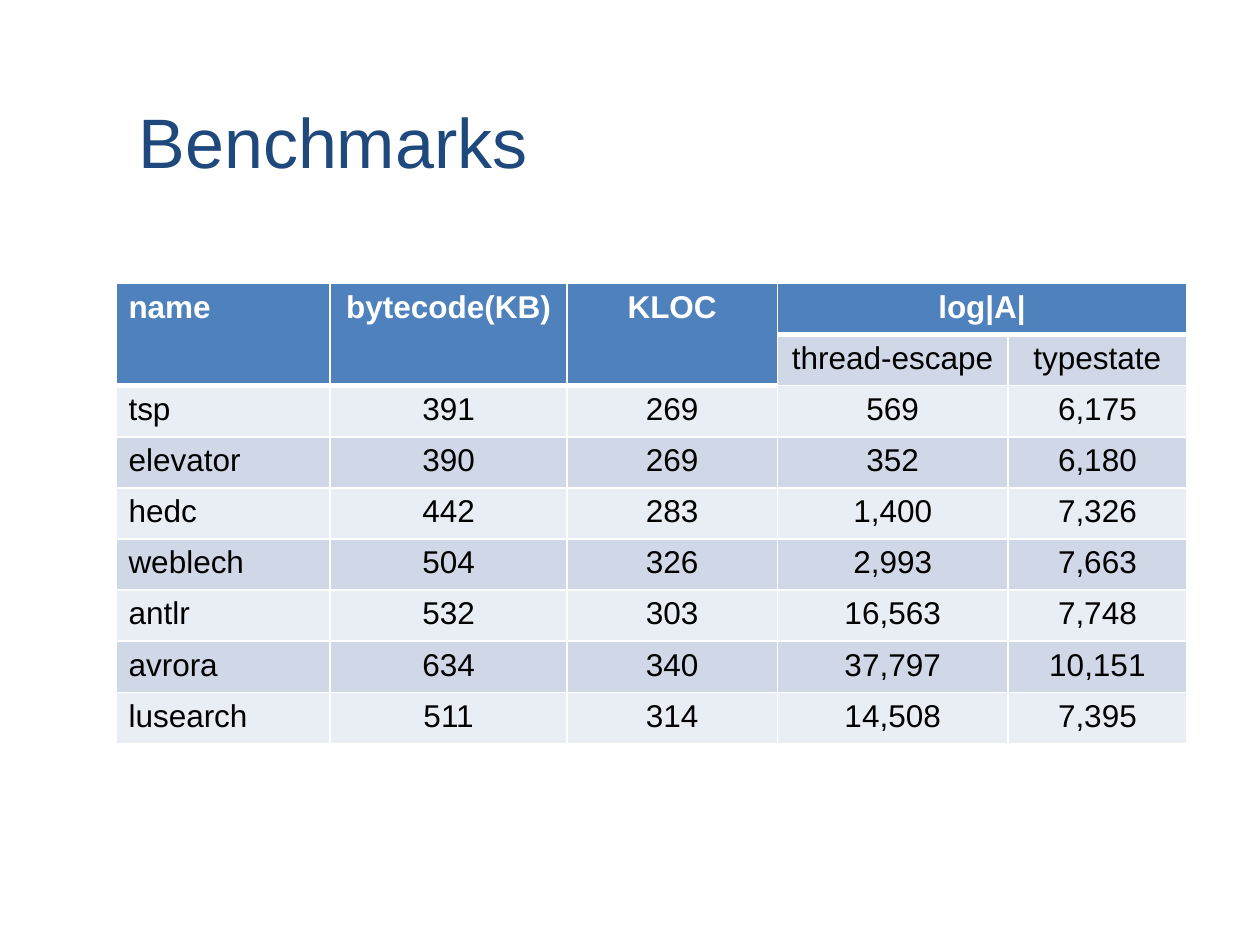
from pptx import Presentation
from pptx.dml.color import RGBColor
from pptx.enum import text
from pptx.oxml import parse_xml
from pptx.oxml.ns import nsdecls
from pptx.util import Inches, Pt

FONT = "Arial"
NAVY = RGBColor(0x1F, 0x49, 0x7D)
BLUE = RGBColor(0x4F, 0x81, 0xBD)
DARK_BAND = RGBColor(0xD0, 0xD8, 0xE8)
LIGHT_BAND = RGBColor(0xE9, 0xED, 0xF4)
WHITE = RGBColor(0xFF, 0xFF, 0xFF)
BLACK = RGBColor(0, 0, 0)

COLUMN_WIDTHS = [1.7, 1.88, 1.67, 1.83, 1.42]
ROWS = [
    ["name", "bytecode(KB)", "KLOC", "log|A|", ""],
    ["", "", "", "thread-escape", "typestate"],
    ["tsp", "391", "269", "569", "6,175"],
    ["elevator", "390", "269", "352", "6,180"],
    ["hedc", "442", "283", "1,400", "7,326"],
    ["weblech", "504", "326", "2,993", "7,663"],
    ["antlr", "532", "303", "16,563", "7,748"],
    ["avrora", "634", "340", "37,797", "10,151"],
    ["lusearch", "511", "314", "14,508", "7,395"],
]
MERGES = [(0, 0, 1, 0), (0, 1, 1, 1), (0, 2, 1, 2), (0, 3, 0, 4)]


def add_span(para, words, size, color, bold=False):
    span = para.add_run()
    span.text = words
    span.font.name = FONT
    span.font.size = Pt(size)
    span.font.bold = bold
    span.font.color.rgb = color


def add_border(cell, side, points):
    cell._tc.get_or_add_tcPr().append(parse_xml(
        f'<a:ln{side} {nsdecls("a")} w="{Pt(points)}"><a:solidFill>'
        f'<a:srgbClr val="{WHITE}"/></a:solidFill></a:ln{side}>'))


def place_title(page, words, left, top, width, height):
    title = page.shapes.title
    title.left, title.top, title.width, title.height = left, top, width, height
    frame = title.text_frame
    frame.auto_size = text.MSO_AUTO_SIZE.NONE
    frame.vertical_anchor = text.MSO_ANCHOR.BOTTOM
    frame.margin_bottom = Inches(0.1)
    para = frame.paragraphs[0]
    para.alignment = text.PP_ALIGN.LEFT
    add_span(para, words, 40, NAVY)


def format_cell(cell, words, row, column):
    header = row == 0 or (row == 1 and column < 3)
    add_border(cell, "L", 1)
    add_border(cell, "R", 1)
    if row == 0:
        add_border(cell, "T", 1)
    add_border(cell, "B", 3 if header else 1)
    cell.fill.solid()
    band = DARK_BAND if row % 2 else LIGHT_BAND
    cell.fill.fore_color.rgb = BLUE if header else band
    para = cell.text_frame.paragraphs[0]
    para.alignment = text.PP_ALIGN.CENTER if column else text.PP_ALIGN.LEFT
    if words:
        add_span(para, words, 18, WHITE if header else BLACK, header)


def place_benchmarks(page, left, top, width, height):
    table = page.shapes.add_table(
        len(ROWS), len(COLUMN_WIDTHS), left, top, width, height).table
    for column, share in zip(table.columns, COLUMN_WIDTHS):
        column.width = int(width * share / sum(COLUMN_WIDTHS))
    for row, values in enumerate(ROWS):
        for column, words in enumerate(values):
            format_cell(table.cell(row, column), words, row, column)
    for top_row, first, bottom_row, last in MERGES:
        table.cell(top_row, first).merge(table.cell(bottom_row, last))


def main():
    deck = Presentation()
    deck.slide_width, deck.slide_height = Inches(10), Inches(7.5)
    page = deck.slides.add_slide(deck.slide_layouts.get_by_name("Title Only"))
    place_title(page, "Benchmarks",
                Inches(1), Inches(0.3), Inches(8.5), Inches(1.25))
    place_benchmarks(page, Inches(0.92), Inches(2.25), Inches(8.5), Inches(3.65))
    deck.save("out.pptx")


if __name__ == "__main__":
    main()
